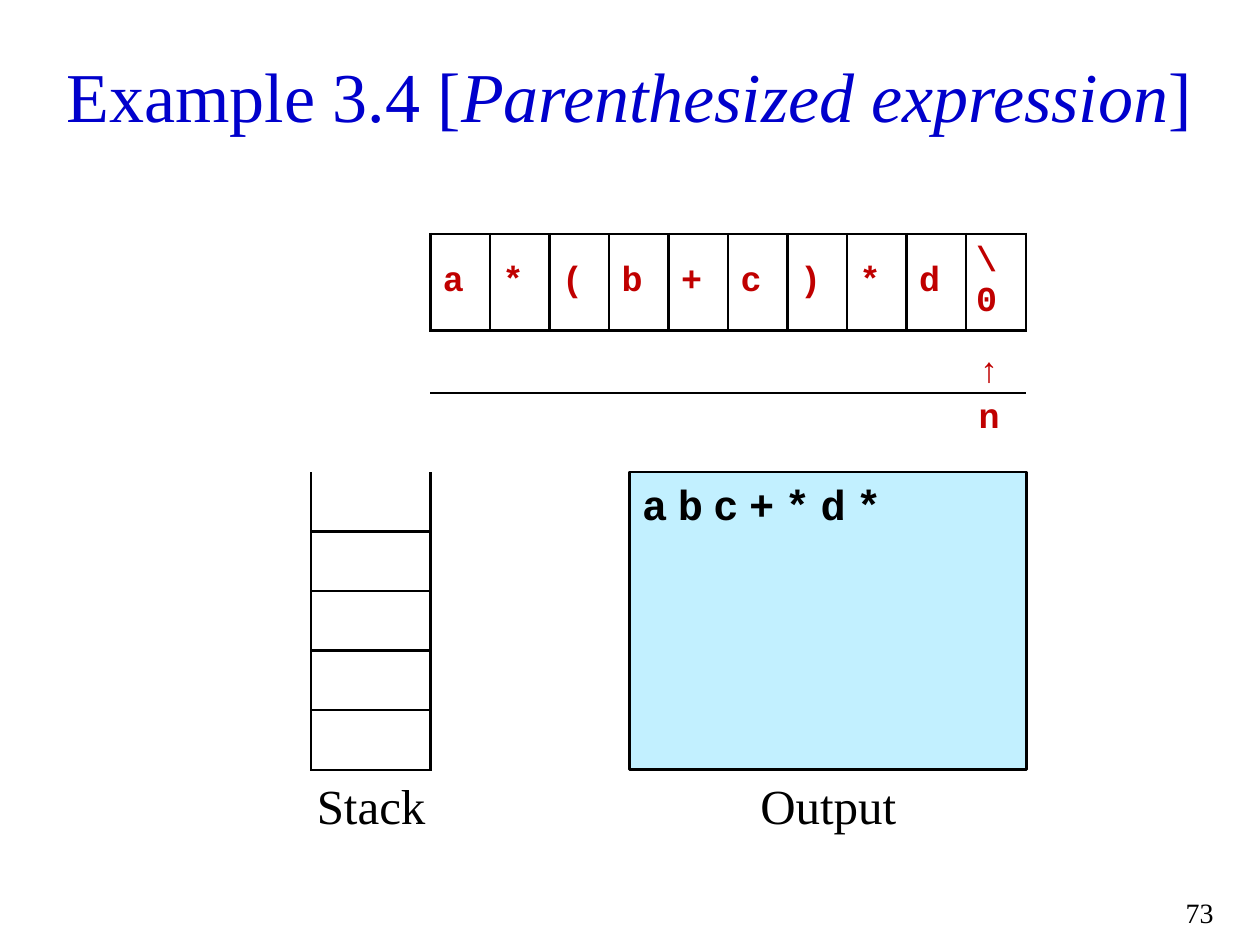
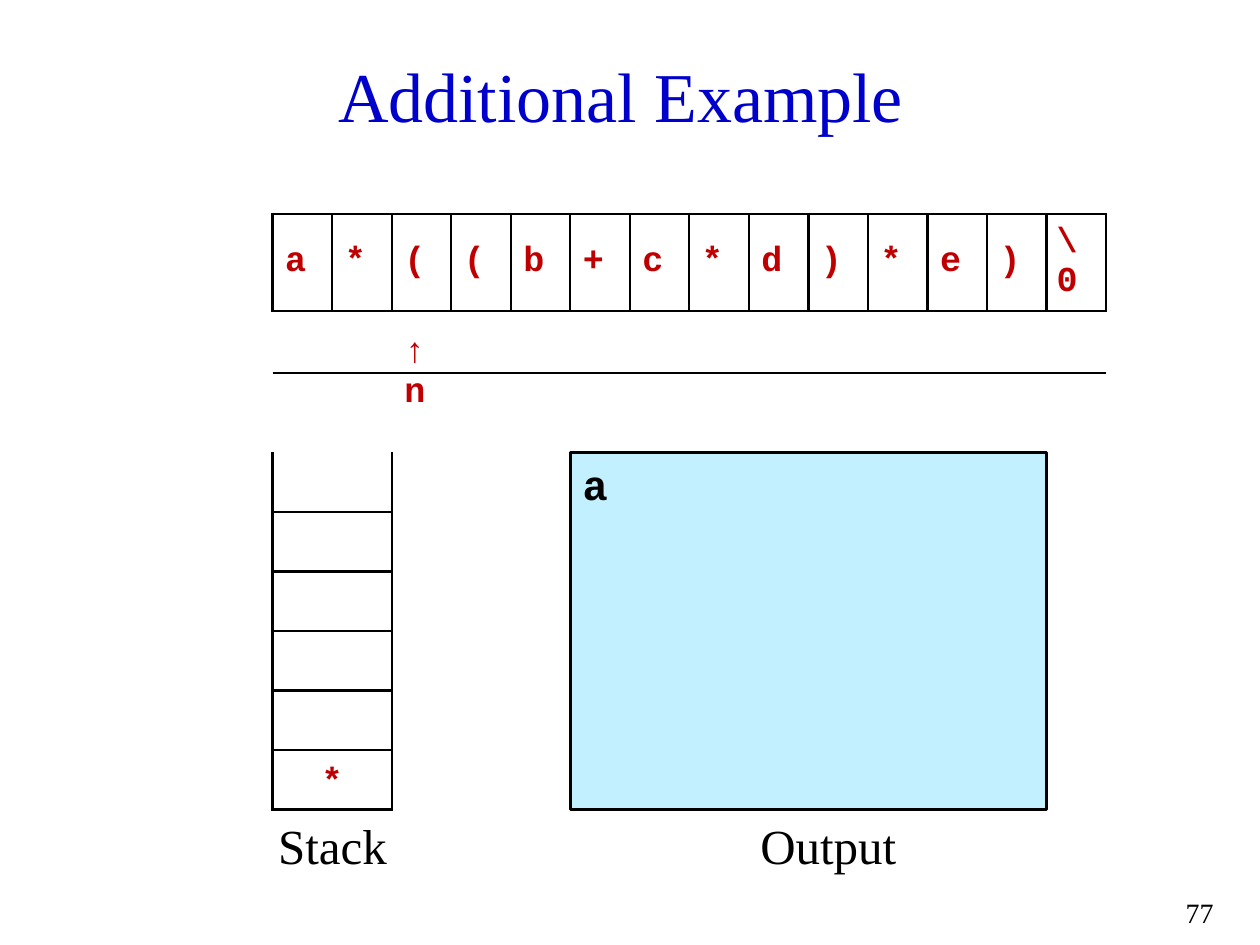
from pptx import Presentation
from pptx.dml.color import RGBColor
from pptx.enum.shapes import MSO_SHAPE as Kind
from pptx.enum.text import MSO_ANCHOR as Anchor, PP_ALIGN as Align
from pptx.oxml import parse_xml
from pptx.oxml.ns import nsdecls, qn
from pptx.util import Cm, Inches, Pt

UNIT = Cm(1.2)  # side of one grid cell
SERIF, MONO = "Times New Roman", "Courier New"
BLUE, RED, BLACK, PALE = "0000CC", "C00000", "000000", "C2F0FF"
LINE = 1.5
NO_GRID = "{2D5ABB26-0587-4C30-8999-92F81FD0307C}"

# Text formats
HEAD = dict(name=SERIF, size=Pt(40), color=BLUE)
LABEL = dict(name=SERIF, size=Pt(28), color=BLACK)
PAGE = dict(name=SERIF, size=Pt(16), color=BLACK)
TOKEN = dict(name=MONO, size=Pt(20), color=RED, bold=True)
RESULT = dict(name=MONO, size=Pt(24), color=BLACK, bold=True)


def rgb(code):
    return RGBColor.from_string(code)


def grid(*cells):
    return [round(n * UNIT) for n in cells]


def style(font, form):
    for key, value in form.items():
        if key == "color":
            font.color.rgb = rgb(value)
        else:
            setattr(font, key, value)


class Deck:
    def __init__(self):
        self.file = Presentation()
        self.file.slide_width = Inches(10)
        self.file.slide_height = Inches(7.5)
        self.slide = None

    def put(self, para, text, form, align=Align.LEFT):
        para.alignment = align
        run = para.add_run()
        run.text = text
        style(run.font, form)
        return run

    def start(self, parts, page):
        """Add a slide; parts are (text, italic) pairs of its title."""
        wide, high = self.file.slide_width, self.file.slide_height
        self.slide = self.file.slides.add_slide(self.file.slide_layouts[5])
        title = self.slide.shapes.title
        place = dict(left=0.027 * wide, top=0.037 * high,
                     width=0.945 * wide, height=0.125 * high)
        for key, value in place.items():
            setattr(title, key, round(value))
        title.text_frame.vertical_anchor = Anchor.MIDDLE
        for text, slant in parts:
            self.put(title.text_frame.paragraphs[0], text,
                     HEAD | dict(italic=slant), Align.CENTER)
        box = (0.91 * wide, 0.941 * high, 0.063 * wide, 0.043 * high)
        self.text([round(n) for n in box], page, PAGE, Align.RIGHT)

    def text(self, box, text, form, align=Align.CENTER):
        frame = self.slide.shapes.add_textbox(*box).text_frame
        frame.word_wrap = True
        self.put(frame.paragraphs[0], text, form, align)

    def panel(self, box, text):
        shape = self.slide.shapes.add_shape(Kind.RECTANGLE, *box)
        shape.shadow.inherit = False
        shape.fill.solid()
        shape.fill.fore_color.rgb = rgb(PALE)
        shape.line.color.rgb = rgb(BLACK)
        shape.line.width = Pt(LINE)
        shape.text_frame.vertical_anchor = Anchor.TOP
        run = self.put(shape.text_frame.paragraphs[0], text, RESULT)
        run.font._element.set("spc", "600")

    def table(self, left, top, rows, cols, wide=1):
        box = grid(left, top, cols * wide, rows)
        table = self.slide.shapes.add_table(rows, cols, *box).table
        table.first_row = table.horz_banding = False
        table._tbl.tblPr.find(qn("a:tableStyleId")).text = NO_GRID
        for cell in table.iter_cells():
            cell.fill.background()
        return table

    def border(self, cell, sides):
        """Draw the given sides, a string in the order L, R, T, B."""
        props = cell._tc.get_or_add_tcPr()
        for spot, side in enumerate(sides):
            props.insert(spot, parse_xml(
                f'<a:ln{side} {nsdecls("a")} w="{Pt(LINE)}"><a:solidFill>'
                f'<a:srgbClr val="{BLACK}"/></a:solidFill></a:ln{side}>'))

    def fill(self, cell, text, anchor=Anchor.MIDDLE, align=Align.LEFT, **gaps):
        cell.vertical_anchor = anchor
        for side, gap in gaps.items():
            setattr(cell, f"margin_{side}", Inches(gap))
        self.put(cell.text_frame.paragraphs[0], text, TOKEN, align)

    def tape(self, left, top, marks, spot, gap):
        """Input symbols, with the pointer n below column spot."""
        table = self.table(left, top, 3, len(marks))
        for col, mark in enumerate(marks):
            gaps = dict(left=0.08, right=0.08) if len(mark) > 1 else {}
            self.fill(table.cell(0, col), mark, **gaps)
            self.border(table.cell(0, col), "LRTB")
            self.border(table.cell(1, col), "T")
        self.fill(table.cell(1, spot), "↑", Anchor.BOTTOM, top=0.16, bottom=0)
        self.fill(table.cell(2, spot), "n", Anchor.TOP, top=gap)

    def stack(self, left, top, rows, items):
        table = self.table(left, top, rows, 1, 2)
        for row in range(rows):
            self.border(table.cell(row, 0), "LRB" if row == 0 else "LRTB")
        for step, item in enumerate(items, 1):
            self.fill(table.cell(rows - step, 0), item, Anchor.BOTTOM,
                      Align.CENTER)

    def state(self, tape, pile, panel):
        """Stack and output, four rows below the tape's top."""
        top = tape["top"] + 4
        left, rows, items = pile
        start, wide, result = panel
        self.stack(left, top, rows, items)
        self.panel(grid(start, top, wide, rows), result)
        self.text(grid(12.25, top + rows, 3.33, 1.33), "Output", LABEL)
        self.text(grid(left - 0.33, top + rows, 2.67, 1.33), "Stack", LABEL)
        self.tape(**tape)


def main():
    deck = Deck()

    # Whole expression read
    deck.start([("Example 3.4 [", False), ("Parenthesized expression", True),
                ("]", False)], "73")
    tape = dict(left=7.23, top=3.93, marks=[*"a*(b+c)*d", "\\0"],
                spot=9, gap=0.05)
    deck.state(tape, (5.23, 5, ""), (10.58, 6.67, "abc+*d*"))

    # First bracket reached
    deck.start([("Additional Example ", False)], "77")
    tape = dict(left=4.58, top=3.6, marks=[*"a*((b+c*d)*e)", "\\0"],
                spot=2, gap=0)
    deck.state(tape, (4.58, 6, "*"), (9.58, 8, "a"))

    deck.file.save("out.pptx")


if __name__ == "__main__":
    main()
